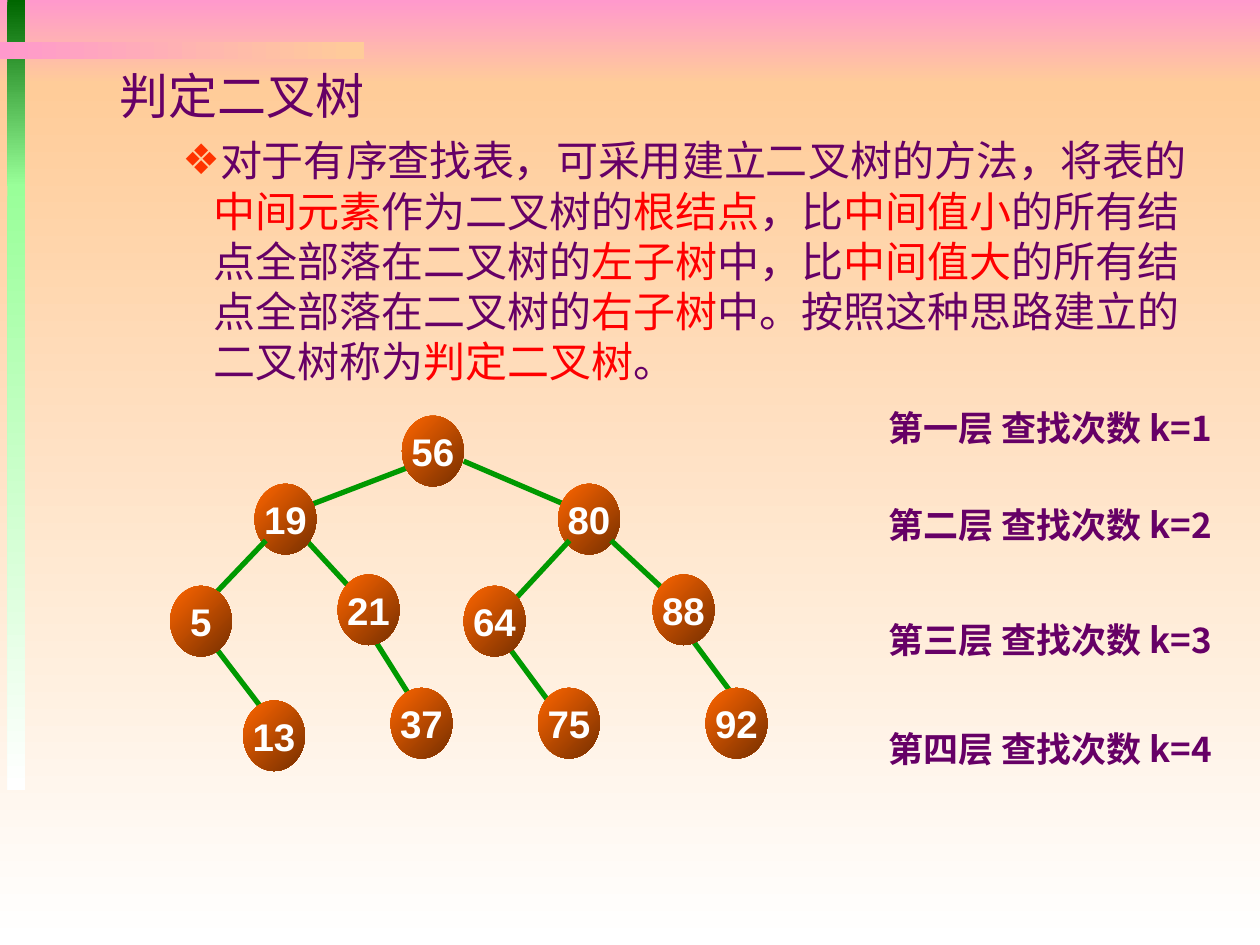
from typing import NamedTuple

from lxml import etree
from pptx import Presentation
from pptx import util as u
from pptx.dml.color import RGBColor
from pptx.enum import shapes, text
from pptx.oxml.ns import qn

# Grid of 100 columns by 75 rows; one cell is a tenth of an inch.
COLS, ROWS = 100, 75
PURPLE, RED, WHITE, GREEN = "660066", "FF0000", "FFFFFF", "009900"
CJK = "Noto Sans CJK SC"
NODE_W, NODE_H = 4.9, 5.6


class Box(NamedTuple):
    x: float
    y: float
    w: float
    h: float


class Band(NamedTuple):
    box: Box
    start: str
    end: str
    angle: int


class Node(NamedTuple):
    key: str
    x: float
    y: float


class Edge(NamedTuple):
    x1: float
    y1: float
    x2: float
    y2: float


BANDS = [
    Band(Box(0, 0, COLS, 6.7), "FF99CC", "FFCC99", 90),
    Band(Box(0, 6.7, COLS, ROWS - 6.7), "FFCC99", WHITE, 90),
    Band(Box(0.6, 0, 1.4, 14.8), "006600", "99FF99", 90),
    Band(Box(0.6, 14.6, 1.4, 48.1), "99FF99", WHITE, 90),
    Band(Box(0, 3.3, 28.9, 1.4), "FF99CC", "FFCC99", 0),
]
HIDDEN_START_EDGES = [
    Edge(58.5, 55.6, 55.1, 51), Edge(43.5, 55.6, 40.1, 51),
    Edge(23.5, 42, 29.3, 48.3), Edge(16.8, 51, 21, 56.5),
    Edge(29.3, 50.1, 32.7, 55.5), Edge(33.7, 36.6, 24.3, 40.2),
    Edge(36.8, 36.6, 45.2, 40.2),
]
UPPER_NODES = [Node("56", 31.9, 33), Node("19", 20.2, 38.4), Node("80", 44.3, 38.4)]
FRONT_EDGES = [
    Edge(21.1, 42.9, 16.8, 47.4), Edge(48.5, 42.9, 54.3, 48.3),
    Edge(45.2, 42.9, 40.2, 48.3),
]
LOWER_NODES = [
    Node("5", 13.5, 46.5), Node("21", 26.8, 45.6), Node("88", 51.8, 45.6),
    Node("64", 36.8, 46.5), Node("13", 19.3, 55.6), Node("75", 42.7, 54.6),
    Node("37", 31, 54.6), Node("92", 56, 54.6),
]
LEVELS = [("一", 32), ("二", 39.7), ("三", 48.8), ("四", 57.5)]
DEFINITION = [
    ("对于有序查找表，可采用建立二叉树的方法，将表的", PURPLE),
    ("中间元素", RED), ("作为二叉树的", PURPLE), ("根结点", RED),
    ("，比", PURPLE), ("中间值小", RED), ("的所有结点全部落在二叉树的", PURPLE),
    ("左子树", RED), ("中，比", PURPLE), ("中间值大", RED),
    ("的所有结点全部落在二叉树的", PURPLE), ("右子树", RED),
    ("中。按照这种思路建立的二叉树称为", PURPLE), ("判定二叉树", RED), ("。", PURPLE),
]


def rgb(value: str) -> RGBColor:
    return RGBColor.from_string(value)


def cells(*counts: float) -> list:
    return [u.Inches(n / 10) for n in counts]


def set_all(obj, values: dict) -> None:
    for name, value in values.items():
        setattr(obj, name, value)


def add_gradient_shape(s, kind, box: Box, start: str, end: str, angle: int):
    """Draw an unlined shape; angle runs clockwise from left to right."""
    sp = s.shapes.add_shape(kind, *cells(*box))
    sp.shadow.inherit = False
    sp.line.fill.background()
    sp.fill.gradient()
    sp.fill.gradient_angle = (360 - angle) % 360
    for stop, color in zip(sp.fill.gradient_stops, (start, end)):
        stop.color.rgb = rgb(color)
    return sp


def add_run(p, words: str, size: int, color: str, font="Arial", bold=False) -> None:
    r = p.add_run()
    r.text = words
    set_all(r.font, {"size": u.Pt(size), "bold": bold, "name": font})
    r.font.color.rgb = rgb(color)
    etree.SubElement(r.font._element, qn("a:ea"), typeface=CJK)


def indent(p, margin: float, first: float) -> None:
    pPr = p._p.get_or_add_pPr()
    pPr.set("marL", str(u.Inches(margin)))
    pPr.set("indent", str(u.Inches(first)))


def add_bullet(p, char: str, color: str) -> None:
    pPr = p._p.get_or_add_pPr()
    bu_color = etree.SubElement(pPr, qn("a:buClr"))
    etree.SubElement(bu_color, qn("a:srgbClr"), val=color)
    etree.SubElement(pPr, qn("a:buFont"), typeface="Arial")
    etree.SubElement(pPr, qn("a:buChar"), char=char)


def add_textbox(s, box: Box):
    tf = s.shapes.add_textbox(*cells(*box)).text_frame
    tf.word_wrap = True
    return tf


def add_definition(s) -> None:
    tf = add_textbox(s, Box(3.5, 4.4, 93, 27.3))
    title = tf.paragraphs[0]
    indent(title, 0.81, -0.31)
    title.line_spacing = u.Pt(36)
    add_run(title, "判定二叉树", 28, PURPLE)
    body = tf.add_paragraph()
    indent(body, 1.25, -0.25)
    add_bullet(body, "❖", "FF3300")
    set_all(body, {"space_before": u.Pt(6), "line_spacing": u.Pt(28.7)})
    for words, color in DEFINITION:
        add_run(body, words, 24, color)


def add_level_label(s, ordinal: str, k: int, y: float) -> None:
    tf = add_textbox(s, Box(66.7, y, 33.3, 4.9))
    set_all(tf, dict.fromkeys(
        ("margin_left", "margin_top", "margin_right", "margin_bottom"), 0))
    p = tf.paragraphs[0]
    set_all(p, {"alignment": text.PP_ALIGN.CENTER, "line_spacing": u.Pt(26)})
    add_run(p, f"第{ordinal}层 查找次数 k={k}", 20, PURPLE, CJK, True)


def add_edge(s, edge: Edge) -> None:
    line = s.shapes.add_connector(shapes.MSO_CONNECTOR.STRAIGHT, *cells(*edge))
    line.line.color.rgb = rgb(GREEN)
    line.line.width = u.Pt(3)
    etree.SubElement(line._element.spPr, qn("a:effectLst"))


def add_node(s, node: Node) -> None:
    sp = add_gradient_shape(s, shapes.MSO_SHAPE.OVAL,
                            Box(node.x, node.y, NODE_W, NODE_H), "FF6600", "762F00", 45)
    tf = sp.text_frame
    set_all(tf, {"word_wrap": False, "vertical_anchor": text.MSO_ANCHOR.MIDDLE})
    p = tf.paragraphs[0]
    p.alignment = text.PP_ALIGN.CENTER
    add_run(p, node.key, 22, WHITE, bold=True)


def main() -> None:
    prs = Presentation()
    prs.slide_width, prs.slide_height = cells(COLS, ROWS)
    s = prs.slides.add_slide(prs.slide_layouts[6])
    for band in BANDS:
        add_gradient_shape(s, shapes.MSO_SHAPE.RECTANGLE, *band)
    add_definition(s)
    for k, (ordinal, y) in enumerate(LEVELS, start=1):
        add_level_label(s, ordinal, k, y)
    for edges, nodes in ((HIDDEN_START_EDGES, UPPER_NODES), (FRONT_EDGES, LOWER_NODES)):
        for edge in edges:
            add_edge(s, edge)
        for node in nodes:
            add_node(s, node)
    prs.save("out.pptx")


if __name__ == "__main__":
    main()
